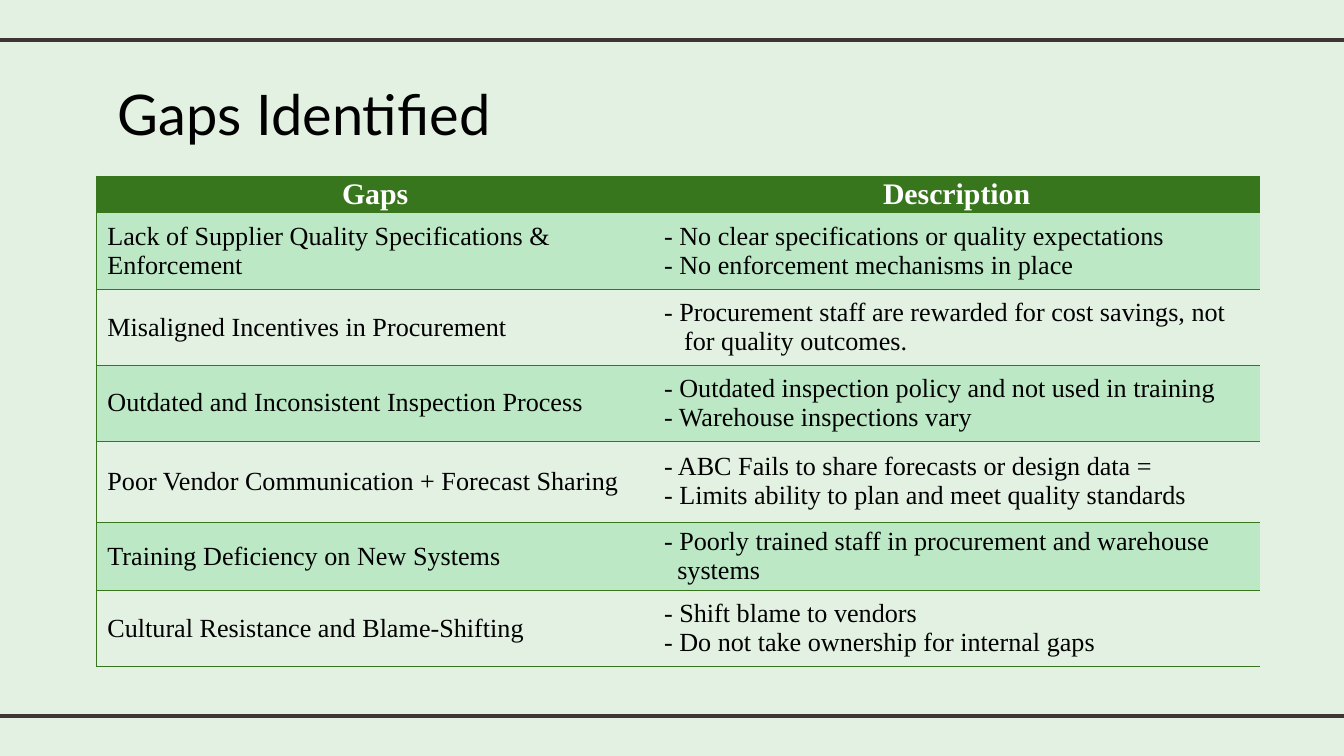
import lxml.etree
import pptx
import pptx.dml.color
import pptx.enum.shapes
import pptx.enum.text
import pptx.oxml.ns
import pptx.util
from pptx.util import Cm

GREEN, MINT, PALE, BROWN = "38761D", "BCE8C5", "E3F1E2", "3F3533"
SERIF = "Times New Roman"
HEADERS = ["Gaps", "Description"]
# Each gap with its description lines; a line may be (text, indent in cm)
GAPS = [
    ("Lack of Supplier Quality Specifications & Enforcement",
     ["- No clear specifications or quality expectations",
      "- No enforcement mechanisms in place"]),
    ("Misaligned Incentives in Procurement",
     ["- Procurement staff are rewarded for cost savings, not",
      ("for quality outcomes.", 0.38)]),
    ("Outdated and Inconsistent Inspection Process",
     ["- Outdated inspection policy and not used in training",
      "- Warehouse inspections vary"]),
    ("Poor Vendor Communication + Forecast Sharing",
     ["- ABC Fails to share forecasts or design data =",
      "- Limits ability to plan and meet quality standards"]),
    ("Training Deficiency on New Systems",
     ["- Poorly trained staff in procurement and warehouse",
      ("systems", 0.25)]),
    ("Cultural Resistance and Blame-Shifting",
     ["- Shift blame to vendors",
      "- Do not take ownership for internal gaps"]),
]
COL_WIDTHS = [10.52, 11.46]
ROW_HEIGHTS = [0.53, 1.47, 1.42, 1.44, 1.53, 1.3, 1.42]


def rgb(color):
    return pptx.dml.color.RGBColor.from_string(color)


def write(tf, lines, font=SERIF, size=14, color="000000", bold=False, align="LEFT"):
    """Fill a text frame with one paragraph per line."""
    tf.word_wrap = True
    for i, line in enumerate(lines):
        text, indent = line if isinstance(line, tuple) else (line, 0)
        p = tf.paragraphs[0] if i == 0 else tf.add_paragraph()
        p.alignment = getattr(pptx.enum.text.PP_ALIGN, align)
        if indent:
            p._p.get_or_add_pPr().set("marL", str(Cm(indent)))
        r = p.add_run()
        r.text = text
        r.font.name, r.font.size, r.font.bold = font, pptx.util.Pt(size), bold
        r.font.color.rgb = rgb(color)


def set_borders(cell, sides):
    """Draw the named cell sides in green and clear the others."""
    tcPr = cell._tc.get_or_add_tcPr()
    qn = pptx.oxml.ns.qn
    for i, side in enumerate("LRTB"):
        ln = lxml.etree.Element(qn(f"a:ln{side}"), w=str(pptx.util.Pt(0.5)))
        if side in sides:
            fill = lxml.etree.SubElement(ln, qn("a:solidFill"))
            lxml.etree.SubElement(fill, qn("a:srgbClr"), val=GREEN)
        else:
            lxml.etree.SubElement(ln, qn("a:noFill"))
        tcPr.insert(i, ln)


def add_rule(s, x, y, w):
    line = s.shapes.add_connector(
        pptx.enum.shapes.MSO_CONNECTOR.STRAIGHT, Cm(x), Cm(y), Cm(x + w), Cm(y))
    line.line.color.rgb = rgb(BROWN)
    line.line.width = pptx.util.Pt(2.25)
    lxml.etree.SubElement(line._element.spPr, pptx.oxml.ns.qn("a:effectLst"))


def add_title(s, x, y, w, h):
    tf = s.shapes.add_textbox(Cm(x), Cm(y), Cm(w), Cm(h)).text_frame
    tf.margin_left = tf.margin_right = tf.margin_top = tf.margin_bottom = Cm(0.25)
    write(tf, ["Gaps Identified"], font="Lato", size=30)


def add_gap_table(s, x, y, w, h):
    rows = [[[header] for header in HEADERS]]
    rows += [[[gap], description] for gap, description in GAPS]
    table = s.shapes.add_table(
        len(rows), len(HEADERS), Cm(x), Cm(y), Cm(w), Cm(h)).table
    table.horz_banding = False
    # Column and row proportions scaled to the box
    for col, width in zip(table.columns, COL_WIDTHS):
        col.width = Cm(w * width / sum(COL_WIDTHS))
    for row, height in zip(table.rows, ROW_HEIGHTS):
        row.height = Cm(h * height / sum(ROW_HEIGHTS))

    for i, row in enumerate(rows):
        for j, lines in enumerate(row):
            cell = table.cell(i, j)
            cell.vertical_anchor = pptx.enum.text.MSO_ANCHOR.MIDDLE
            cell.margin_left = cell.margin_right = Cm(0.2)
            cell.margin_top = cell.margin_bottom = 0
            if i == 0:
                write(cell.text_frame, lines, size=16, color="FFFFFF",
                      bold=True, align="CENTER")
            else:
                write(cell.text_frame, lines)
            # Dark header, then alternating bands
            if i % 2 or i == 0:
                cell.fill.solid()
                cell.fill.fore_color.rgb = rgb(MINT if i else GREEN)
            else:
                cell.fill.background()
            set_borders(cell, "LTB" if j == 0 else "TB")


def main():
    prs = pptx.Presentation()
    prs.slide_width, prs.slide_height = Cm(25.4), Cm(14.29)
    s = prs.slides.add_slide(prs.slide_layouts[6])
    s.background.fill.solid()
    s.background.fill.fore_color.rgb = rgb(PALE)

    # Rules across the top and bottom
    for y in (0.76, 13.54):
        add_rule(s, -0.2, y, 25.8)
    add_title(s, 1.98, 1.25, 18, 1.6)
    add_gap_table(s, 1.83, 3.33, sum(COL_WIDTHS), sum(ROW_HEIGHTS))
    prs.save("out.pptx")


if __name__ == "__main__":
    main()
